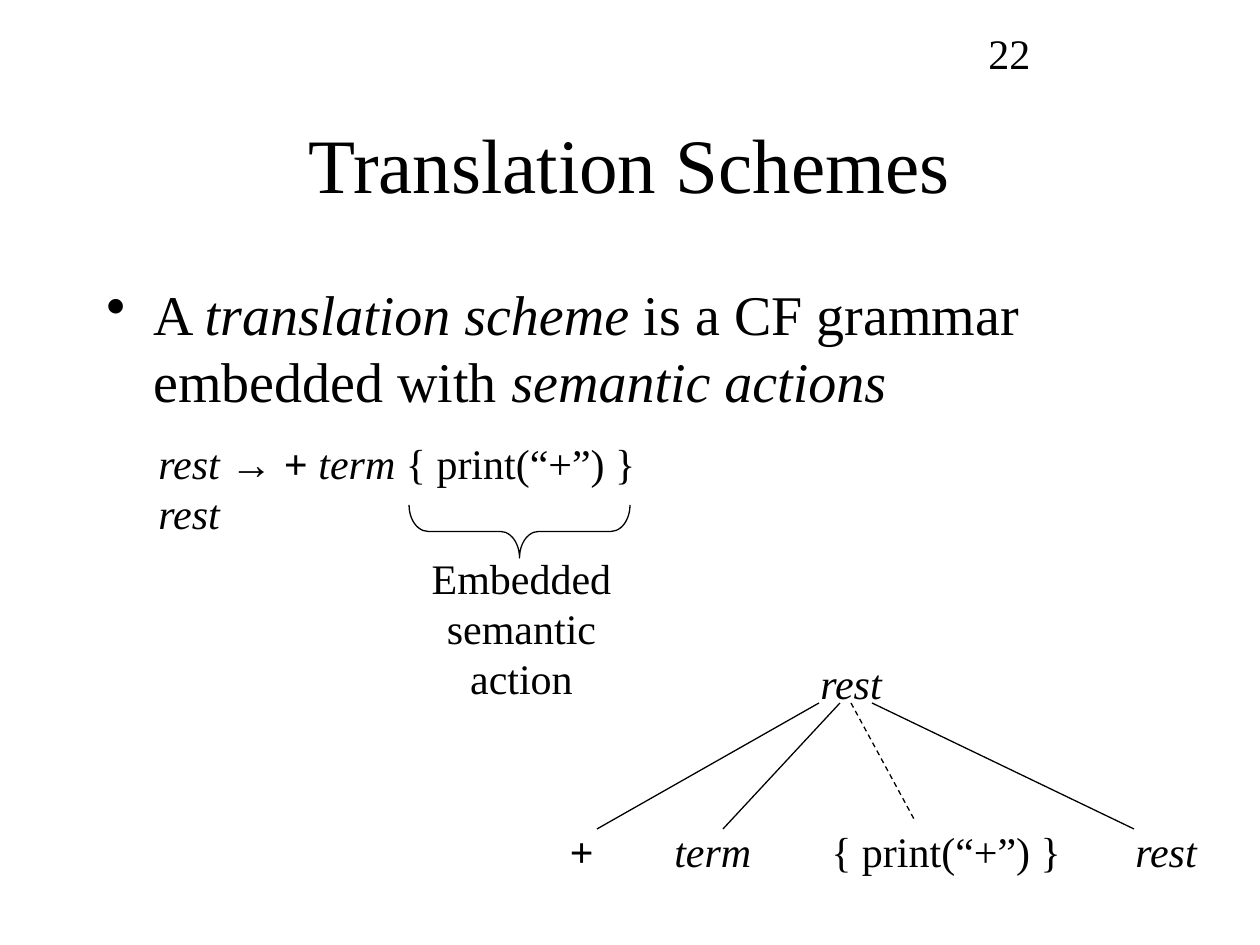
import pptx
import pptx.util
import pptx.dml.color
import pptx.enum.dml
import pptx.enum.shapes
import pptx.enum.text
import lxml.etree

BLACK = pptx.dml.color.RGBColor(0, 0, 0)
WHITE = pptx.dml.color.RGBColor(255, 255, 255)
SERIF, SANS = "Times New Roman", "Arial"
SCALE = 914400 / 126
ALIGN = pptx.enum.text.PP_ALIGN
ANCHOR = pptx.enum.text.MSO_ANCHOR
KIND = pptx.enum.shapes.MSO_SHAPE
DASH = pptx.enum.dml.MSO_LINE
ITALIC, BOLD = {"italic": True}, {"bold": True}


def emu(px):
    return round(px * SCALE)


class Deck:
    """Holds the style and the current slide."""

    def __init__(self, wide, high):
        self.deck = pptx.Presentation()
        self.deck.slide_width, self.deck.slide_height = emu(wide), emu(high)
        self.font = {"name": SERIF, "size": pptx.util.Pt(24)}
        self.width = pptx.util.Pt(0.75)

    def page(self):
        self.slide = self.deck.slides.add_slide(self.deck.slide_layouts[6])
        fill = self.slide.background.fill
        fill.solid()
        fill.fore_color.rgb = WHITE

    def text(self, box, runs, size=24, wrap=False, anchor=ANCHOR.TOP, **form):
        shape = self.slide.shapes.add_textbox(*map(emu, box))
        frame = shape.text_frame
        frame.word_wrap, frame.vertical_anchor = wrap, anchor
        para = frame.paragraphs[0]
        for name, value in form.items():
            setattr(para, name, value)
        for words, style in runs:
            if words == "\n":
                para.add_line_break()
                continue
            run = para.add_run()
            run.text = words
            run.font.color.rgb = BLACK
            look = {**self.font, "size": pptx.util.Pt(size), **style}
            for name, value in look.items():
                setattr(run.font, name, value)
        return para

    def bullet(self, box, runs, indent, **form):
        para = self.text(box, runs, wrap=True, **form)
        props = para._p.get_or_add_pPr()
        props.set("marL", str(emu(indent)))
        props.set("indent", str(-emu(indent)))
        mark = lxml.etree.SubElement(props, pptx.oxml.ns.qn("a:buChar"))
        mark.set("char", "•")

    def stroke(self, line):
        line.color.rgb, line.width = BLACK, self.width

    def brace(self, box, turn, curve):
        shape = self.slide.shapes.add_shape(KIND.RIGHT_BRACE, *map(emu, box))
        shape.rotation = turn
        shape.adjustments[0] = curve
        shape.shadow.inherit = False
        shape.fill.background()
        self.stroke(shape.line)

    def line(self, start, end, dash=None):
        link = self.slide.shapes.add_connector(
            pptx.enum.shapes.MSO_CONNECTOR.STRAIGHT, *map(emu, start + end))
        self.stroke(link.line)
        if dash:
            link.line.dash_style = dash
        lxml.etree.SubElement(link._element.spPr, pptx.oxml.ns.qn("a:effectLst"))

    def save(self):
        self.deck.save("out.pptx")


def main():
    deck = Deck(1260, 945)
    deck.page()

    # Title and body
    deck.text((94, 84, 1071, 158), [("Translation Schemes", {})], size=44,
              wrap=True, anchor=ANCHOR.MIDDLE, alignment=ALIGN.CENTER)
    deck.bullet((94, 273, 1071, 567), [
        ("A ", {}), ("translation scheme", ITALIC),
        (" is a CF grammar embedded with ", {}), ("semantic actions", ITALIC),
    ], indent=47, size=32, space_before=pptx.util.Pt(8))

    # Production with its embedded action
    deck.text((146, 431, 560, 63), [
        ("rest ", ITALIC), ("→ ", {"name": SANS}), ("+ ", BOLD),
        ("term", ITALIC), (" { print(“+”) } ", {}), ("rest", ITALIC),
    ], wrap=True)
    deck.text((378, 546, 287, 113),
              [("Embedded", {}), ("\n", {}), ("semantic action", {})],
              alignment=ALIGN.CENTER)
    deck.brace((493, 421, 53, 221), turn=90, curve=0.36)

    # Parse tree: root, then leaves on one row
    deck.text((808, 651, 88, 63), [("rest", ITALIC)])
    leaves = [
        (557, 49, "+", {**BOLD, **ITALIC}),
        (662, 102, "term", ITALIC),
        (819, 255, "{ print(“+”) }", {}),
        (1123, 88, "rest", ITALIC),
    ]
    for left, wide, words, style in leaves:
        deck.text((left, 819, wide, 63), [(words, style)])

    # Branches
    branches = [
        (819, 597, 829, None),
        (840, 723, 829, None),
        (851, 914, 819, DASH.DASH),
        (872, 1134, 829, None),
    ]
    for top, foot, base, dash in branches:
        deck.line((top, 703), (foot, base), dash)

    # Page number
    deck.text((976, 21, 262, 62), [("22", {})], wrap=True)
    deck.save()


if __name__ == "__main__":
    main()
